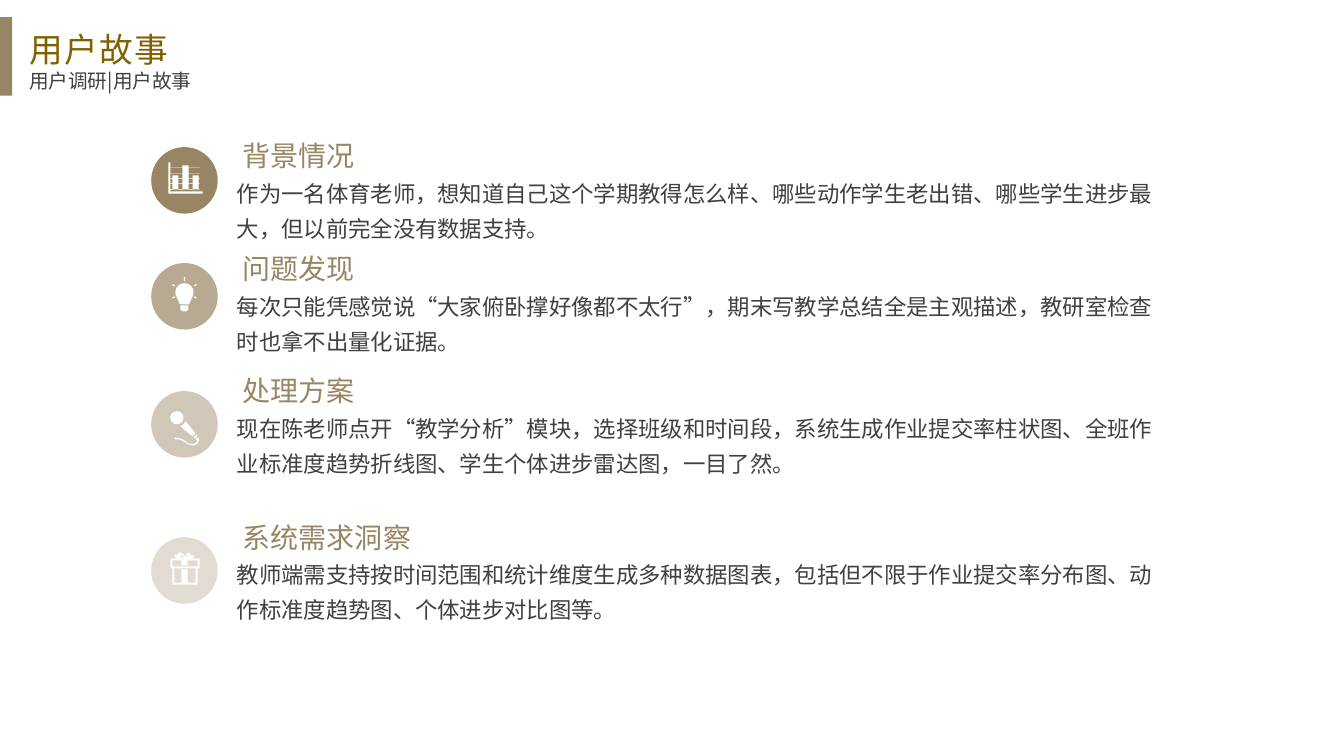
from math import cos, radians, sin

from lxml.etree import SubElement
from pptx import Presentation
from pptx.dml.color import RGBColor
from pptx.enum.shapes import MSO_SHAPE as SHAPE
from pptx.enum.text import MSO_ANCHOR as ANCHOR, MSO_AUTO_SIZE as AUTO_SIZE, PP_ALIGN as ALIGN
from pptx.oxml.ns import qn
from pptx.util import Pt

PX = 9144  # 100 px to the inch
FINE = 10  # icon outlines are drawn in tenths of a px
FONT = "Noto Sans CJK SC"
COLORS = {
    "title": "806000", "text": "404040", "white": "FFFFFF",
    "accent": "988563", "accent2": "B8AA92", "accent3": "D0C7B8", "accent4": "E1DBD1",
}
STYLES = {
    "title": dict(size=24, color="title", line=1.2, spacing=100),
    "subtitle": dict(size=14, color="text", align=ALIGN.JUSTIFY),
    "heading": dict(size=20, color="accent"),
    "body": dict(size=16, color="text", line=1.3),
}


def rgb(name):
    return RGBColor.from_string(COLORS[name])


def paint(sp, color):
    sp.shadow.inherit = False
    sp.fill.solid()
    sp.fill.fore_color.rgb = rgb(color)
    sp.line.fill.background()


def add_block(s, kind, x, y, w, h, color):
    paint(s.shapes.add_shape(kind, x * PX, y * PX, w * PX, h * PX), color)


def write(sp, text, style):
    f = STYLES[style]
    tf = sp.text_frame
    frame = dict(word_wrap=True, auto_size=AUTO_SIZE.SHAPE_TO_FIT_TEXT,
                 vertical_anchor=ANCHOR.TOP)
    for key, value in frame.items():
        setattr(tf, key, value)
    p = tf.paragraphs[0]
    p.alignment = f.get("align", ALIGN.LEFT)
    p.line_spacing = f.get("line", 1.0)
    r = p.add_run()
    r.text = text
    for key, value in dict(name=FONT, size=Pt(f["size"]), bold=False).items():
        setattr(r.font, key, value)
    r.font.color.rgb = rgb(f["color"])
    rPr = r.font._element
    rPr.set("lang", "zh-CN")
    rPr.set("spc", str(f.get("spacing", 0)))
    SubElement(rPr, qn("a:ea"), typeface=FONT)


def add_text(s, text, style, x, y, w, h):
    write(s.shapes.add_textbox(x * PX, y * PX, w * PX, h * PX), text, style)


def add_title(s, text, x, y, w, h):
    sp = s.shapes.title
    for key, value in dict(left=x, top=y, width=w, height=h).items():
        setattr(sp, key, value * PX)
    write(sp, text, "title")


def add_icon(s, contours):
    """Draw closed contours as one white freeform; inner contours are holes."""
    fine = [[(x * FINE, y * FINE) for x, y in c] for c in contours]
    first, *rest = fine
    b = s.shapes.build_freeform(*first[0], scale=PX / FINE)
    b.add_line_segments(first[1:], close=True)
    for c in rest:
        b.move_to(*c[0])
        b.add_line_segments(c[1:], close=True)
    paint(b.convert_to_shape(), "white")


def box(x1, y1, x2, y2):
    return [(x1, y1), (x2, y1), (x2, y2), (x1, y2)]


def arc(cx, cy, radius, start, end, step=15):
    angles = range(start, end + 1, step)
    return [(cx + radius * cos(radians(a)), cy + radius * sin(radians(a))) for a in angles]


def mirror(points, axis):
    return [(2 * axis - x, y) for x, y in points]


def chart_icon():
    axes = [(167, 161), (169, 161), (169, 190), (201, 190), (201, 192), (167, 192)]
    bars = [box(171, 174, 177, 188), box(181, 164, 187, 188), box(191, 174, 197, 188)]
    above = [(169, 181), (187, 198)]
    between = [(169, 171), (177, 181), (187, 191), (197, 198)]
    rows = {166: above, 172: above, 177: between, 182: between, 188: between}
    grid = [box(x1, y, x2, y + 0.4) for y, spans in rows.items() for x1, x2 in spans]
    return [axes, *bars, *grid]


def bulb_icon():
    glass = arc(183, 290, 9, 150, 390) + [(188, 301), (187, 302), (179, 302), (178, 301)]
    base = [(179, 303), (187, 303), (187, 307), (186, 308), (184, 309),
            (182, 309), (180, 308), (179, 307)]
    rays = [[(171, 282), (172, 282), (174, 284), (173, 284), (171, 283)],
            [(171, 296), (171, 295), (173, 294), (174, 295), (172, 296)]]
    top_ray = box(182.4, 275, 183.6, 279)
    return [glass, base, top_ray, *rays, *(mirror(ray, 183) for ray in rays)]


def microphone_icon():
    head = arc(175.5, 414.5, 6.5, 0, 345)
    handle = [(184, 418), (194, 430), (191, 433), (179, 423), (182, 421)]
    tip = [(195, 431), (196, 433), (194, 435), (192, 434)]
    cable = [(197, 434), (197.5, 437), (196, 440), (192, 442), (187, 441), (182, 438),
             (178, 436), (174, 436), (173, 435), (174, 434), (179, 435), (183, 437),
             (187, 440), (192, 440.5), (195, 439), (195.5, 437), (194, 436)]
    return [head, handle, tip, cable]


def gift_icon():
    lid = box(169, 554, 198, 564)
    lid_hole = [(171, 556), (180, 556), (180, 561), (186, 561), (186, 556),
                (196, 556), (196, 562), (171, 562)]
    crate = box(171, 564, 196, 580)
    crate_hole = [(173, 564), (194, 564), (194, 578), (186, 578), (186, 565),
                  (180, 565), (180, 578), (173, 578)]
    bow = [(176, 554), (175, 553), (173, 552), (173.5, 550), (175, 550), (177, 552),
           (176, 549.5), (178, 548), (181, 549), (183, 552), (186, 548.5), (188, 548.5),
           (189, 550), (189, 552), (190, 551), (192, 551), (193, 552), (192, 553), (190, 554)]
    loops = [[(187, 550), (186, 552), (184, 553), (185, 551)],
             [(179, 550), (181, 551), (182, 554), (181, 554)]]
    return [lid, lid_hole, crate, crate_hole, bow, *loops]


# heading, body, heading top, circle top, circle colour, icon
STORIES = [
    ("背景情况",
     "作为一名体育老师，想知道自己这个学期教得怎么样、哪些动作学生老出错、哪些学生进步最大，但以前完全没有数据支持。",
     133, 146, "accent", chart_icon),
    ("问题发现",
     "每次只能凭感觉说“大家俯卧撑好像都不太行”，期末写教学总结全是主观描述，教研室检查时也拿不出量化证据。",
     245, 261, "accent2", bulb_icon),
    ("处理方案",
     "现在陈老师点开“教学分析”模块，选择班级和时间段，系统生成作业提交率柱状图、全班作业标准度趋势折线图、学生个体进步雷达图，一目了然。",
     366, 388, "accent3", microphone_icon),
    ("系统需求洞察",
     "教师端需支持按时间范围和统计维度生成多种数据图表，包括但不限于作业提交率分布图、动作标准度趋势图、个体进步对比图等。",
     511, 533, "accent4", gift_icon),
]


def add_story(s, heading, body, top, circle_top, color, icon):
    add_block(s, SHAPE.OVAL, 150, circle_top, 66, 66, color)
    add_icon(s, icon())
    add_text(s, body, "body", 225, top + 33, 941, 77)
    add_text(s, heading, "heading", 231, top, 197, 44)


def main():
    prs = Presentation()
    prs.slide_width, prs.slide_height = 1333 * PX, 750 * PX
    s = prs.slides.add_slide(prs.slide_layouts[5])
    add_block(s, SHAPE.RECTANGLE, 0, 17, 12, 78, "accent")
    add_title(s, "用户故事", 19, 16, 414, 55)
    add_text(s, "用户调研|用户故事", "subtitle", 19, 63, 441, 34)
    for story in STORIES:
        add_story(s, *story)
    prs.save("out.pptx")


if __name__ == "__main__":
    main()
